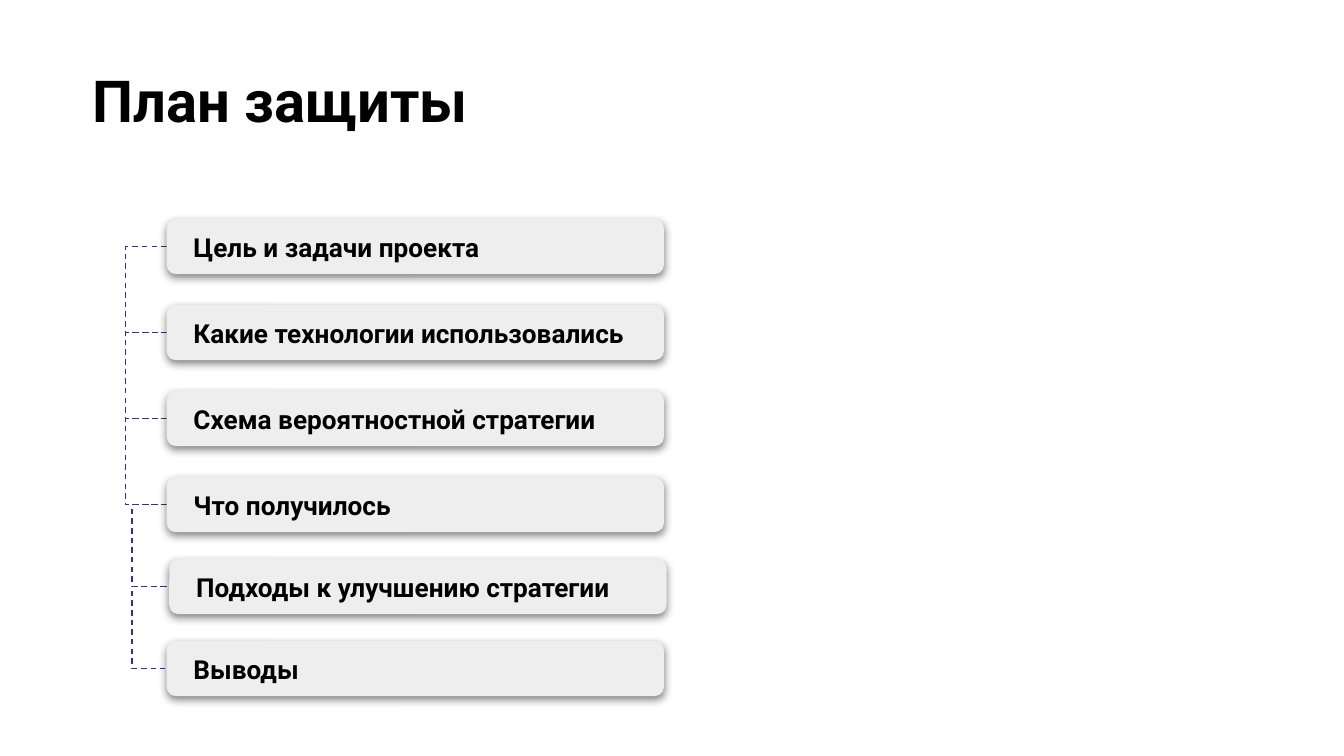
import pptx
import pptx.util
import pptx.dml.color
import pptx.enum.dml
import pptx.enum.shapes
import pptx.enum.text
import pptx.oxml
import pptx.oxml.ns

Inches, Pt = pptx.util.Inches, pptx.util.Pt
RGB = pptx.dml.color.RGBColor.from_string
COLORS = {"text": "000000", "card": "EEEEEE", "link": "3F299A"}
NS = pptx.oxml.ns.nsdecls("a")
CARD_SHADOW = (
    f'<a:effectLst {NS}><a:outerShdw blurRad="{Pt(4.5)}" dist="{Pt(1.5)}" dir="5400000" '
    'algn="bl" rotWithShape="0"><a:srgbClr val="000000"><a:alpha val="50000"/></a:srgbClr>'
    '</a:outerShdw></a:effectLst>'
)


def write(frame, text, size, side_inset):
    frame.margin_left = frame.margin_right = Inches(side_inset)
    frame.margin_top = frame.margin_bottom = Inches(0.1)
    frame.word_wrap = True
    line = frame.paragraphs[0]
    line.text = text
    line.alignment = pptx.enum.text.PP_ALIGN.LEFT
    line.font.name, line.font.size, line.font.bold = "Roboto", Pt(size), True
    line.font.color.rgb = RGB(COLORS["text"])


# Widescreen 16:9 slide
deck = pptx.Presentation()
deck.slide_width, deck.slide_height = Inches(10), Inches(10 * 9 / 16)
slide = deck.slides.add_slide(deck.slide_layouts[5])

# Title
title = slide.shapes.title
title.left, title.top = Inches(0.59), Inches(0.38)
title.width, title.height = Inches(9.03), Inches(0.72)
write(title.text_frame, "План защиты", 31, 0.1)
title.text_frame.vertical_anchor = pptx.enum.text.MSO_ANCHOR.TOP
title.text_frame.auto_size = pptx.enum.text.MSO_AUTO_SIZE.SHAPE_TO_FIT_TEXT

# Agenda column: the first four rows are spaced wider than the last two
topics = [
    "Цель и задачи проекта",
    "Какие технологии использовались",
    "Схема вероятностной стратегии",
    "Что получилось",
    "Подходы к улучшению стратегии",
    "Выводы",
]
card_left, card_width, card_height = 1.24, 3.7, 0.41
first_top, wide_pitch, tight_pitch, wide_rows = 1.63, 0.64, 0.61, 3
tops = [first_top + wide_pitch * min(row, wide_rows) + tight_pitch * max(row - wide_rows, 0)
        for row in range(len(topics))]

# Dashed brackets from each card to the next
step = 0.01
for row in range(len(topics) - 1):
    direction, reach = (1, 0.31) if row < wide_rows else (-1, 0.26)
    bracket = slide.shapes.add_connector(
        pptx.enum.shapes.MSO_CONNECTOR.ELBOW,
        Inches(card_left), Inches(tops[row] + card_height / 2),
        Inches(card_left + direction * step), Inches(tops[row + 1] + card_height / 2))
    bracket.line.color.rgb = RGB(COLORS["link"])
    bracket.line.width = Pt(0.75)
    bracket.line.dash_style = pptx.enum.dml.MSO_LINE.DASH
    properties = bracket.element.spPr
    properties.append(pptx.oxml.parse_xml(f"<a:effectLst {NS}/>"))
    bend = round(-direction * reach / step * 100000)
    guides = properties.find(pptx.oxml.ns.qn("a:prstGeom")).get_or_add_avLst()
    guides.append(pptx.oxml.parse_xml(f'<a:gd {NS} name="adj1" fmla="val {bend}"/>'))

# Topic cards
for row, topic in enumerate(topics):
    nudge = 0.02 if row == 4 else 0
    card = slide.shapes.add_shape(
        pptx.enum.shapes.MSO_SHAPE.ROUNDED_RECTANGLE,
        Inches(card_left + nudge), Inches(tops[row]), Inches(card_width), Inches(card_height))
    card.fill.solid()
    card.fill.fore_color.rgb = RGB(COLORS["card"])
    card.line.fill.background()
    card.element.spPr.append(pptx.oxml.parse_xml(CARD_SHADOW))
    write(card.text_frame, topic, 14, 0.18)
    card.text_frame.vertical_anchor = pptx.enum.text.MSO_ANCHOR.MIDDLE

deck.save("out.pptx")
